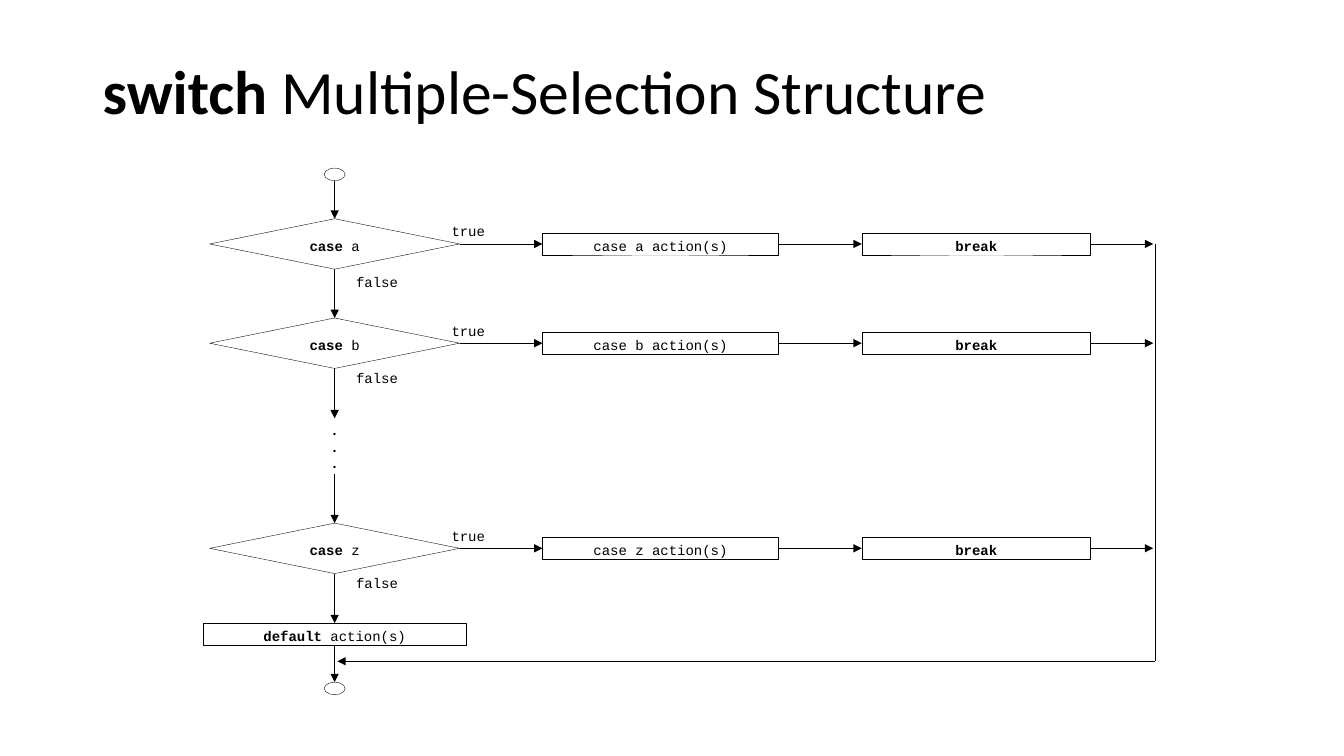
"""Draw the flowchart of a switch multiple-selection structure."""
from dataclasses import dataclass
from typing import Any

import lxml.etree
import pptx
import pptx.dml.color
import pptx.enum.shapes
import pptx.enum.text
import pptx.oxml.ns
import pptx.util

SHAPE = pptx.enum.shapes.MSO_SHAPE
ALIGN = pptx.enum.text.PP_ALIGN
ANCHOR = pptx.enum.text.MSO_ANCHOR
TOP, BOTTOM, LEFT, RIGHT = 0, 2, 1, 3
BLACK, WHITE = "000000", "FFFFFF"
AXIS, RAIL = 24.9, 85.95
ACTION_X, ACTION_W = 49.14, 17.55
BREAK_X, BREAK_W = 72.64, 17.03
BOX_H, DIAMOND_W, DIAMOND_H = 2.9, 18.6, 6.67
RETURN_Y = 87.47

prs = pptx.Presentation()
prs.slide_width = pptx.util.Inches(13.33)
prs.slide_height = pptx.util.Inches(7.5)
s = prs.slides.add_slide(prs.slide_layouts[5])


@dataclass(frozen=True)
class Case:
    """A case of the switch: its letter, centre row and drop of the false label."""
    letter: str
    y: float
    false_drop: float


@dataclass(frozen=True)
class End:
    """An end of a line: a point, or a side of a shape."""
    x: float = 0
    y: float = 0
    shape: Any = None
    side: int = TOP


CASES = [Case("a", 32.27, 3.87), Case("b", 45.4, 3.53), Case("z", 72.53, 3.47)]


def px(share: float) -> int:
    """Turn a percentage of the slide's width into a length."""
    return int(prs.slide_width * share / 100)


def py(share: float) -> int:
    """Turn a percentage of the slide's height into a length."""
    return int(prs.slide_height * share / 100)


def color(value: str) -> pptx.dml.color.RGBColor:
    """Turn a hex string into a colour."""
    return pptx.dml.color.RGBColor.from_string(value)


def write(tf: Any, text: str, *, lead: str = "", bold: bool = False, size: float = 10,
          font: str = "Courier New", align: Any = ALIGN.LEFT,
          anchor: Any = ANCHOR.TOP, spacing: float = 1) -> None:
    """Write lines of text, the first opened by a bold lead."""
    tf.word_wrap = True
    tf.auto_size = pptx.enum.text.MSO_AUTO_SIZE.NONE
    tf.vertical_anchor = anchor
    for i, line in enumerate(text.split("\n")):
        p = tf.add_paragraph() if i else tf.paragraphs[0]
        p.alignment, p.line_spacing = align, spacing
        for part, heavy in ((lead if i == 0 else "", True), (line, bold)):
            if part:
                r = p.add_run()
                r.text = part
                r.font.name, r.font.size, r.font.bold = font, pptx.util.Pt(size), heavy
                r.font.color.rgb = color(BLACK)


def no_insets(tf: Any) -> None:
    """Clear the margins of a text frame."""
    tf.margin_left = tf.margin_right = tf.margin_top = tf.margin_bottom = 0


def label(text: str, x: float, y: float, w: float, h: float, **fmt: Any) -> None:
    """Place text by its top left corner."""
    tf = s.shapes.add_textbox(px(x), py(y), px(w), py(h)).text_frame
    no_insets(tf)
    write(tf, text, **fmt)


def node(kind: Any, x: float, y: float, w: float, h: float, text: str = "",
         fill: str = "", **fmt: Any) -> Any:
    """Draw an outlined shape around its centre."""
    sp = s.shapes.add_shape(kind, px(x - w / 2), py(y - h / 2), px(w), py(h))
    sp.shadow.inherit = False
    if fill:
        sp.fill.solid()
        sp.fill.fore_color.rgb = color(fill)
    else:
        sp.fill.background()
    sp.line.color.rgb = color(BLACK)
    sp.line.width = pptx.util.Pt(0.25)
    if text:
        no_insets(sp.text_frame)
        sp.text_frame.margin_top = pptx.util.Inches(0.04)
        write(sp.text_frame, text, align=ALIGN.CENTER, anchor=ANCHOR.MIDDLE, **fmt)
    return sp


def line(start: End, end: End, arrow: bool = True) -> None:
    """Draw a straight line, joined to shapes where its ends name them."""
    c = s.shapes.add_connector(pptx.enum.shapes.MSO_CONNECTOR.STRAIGHT,
                               px(start.x), py(start.y), px(end.x), py(end.y))
    if start.shape is not None:
        c.begin_connect(start.shape, start.side)
    if end.shape is not None:
        c.end_connect(end.shape, end.side)
    c.line.color.rgb = color(BLACK)
    c.line.width = pptx.util.Pt(0.25)
    qn = pptx.oxml.ns.qn
    if arrow:
        lxml.etree.SubElement(c.line._get_or_add_ln(), qn("a:tailEnd"), type="triangle")
    lxml.etree.SubElement(c._element.spPr, qn("a:effectLst"))


def draw_case(case: Case) -> Any:
    """Draw one row of the flowchart and return its diamond."""
    y = case.y
    test = node(SHAPE.DIAMOND, AXIS, y, DIAMOND_W, DIAMOND_H, f" {case.letter}",
                fill=WHITE, lead="case")
    action = node(SHAPE.RECTANGLE, ACTION_X, y, ACTION_W, BOX_H,
                  f"case {case.letter} action(s)")
    leave = node(SHAPE.RECTANGLE, BREAK_X, y, BREAK_W, BOX_H, "break", bold=True)
    line(End(shape=test, side=RIGHT), End(shape=action, side=LEFT))
    line(End(shape=action, side=RIGHT), End(shape=leave, side=LEFT))
    line(End(shape=leave, side=RIGHT), End(85.8, y))
    label("true", 33.6, y - 2.8, 5.5, 3.2)
    label("false", 26.5, y + case.false_drop, 6.7, 3.2)
    return test


def main() -> None:
    """Build the slide and save it."""
    title = s.shapes.title
    title.left, title.top, title.width, title.height = px(6.88), py(5.33), px(86.25), py(19.33)
    title.top, title.height = py(5.33), py(14.4)
    write(title.text_frame, " Multiple-Selection Structure", lead="switch", size=44,
          font="Calibri", anchor=ANCHOR.MIDDLE, spacing=0.9)

    node(SHAPE.OVAL, AXIS, 23.07, 1.56, 1.65)
    finish = node(SHAPE.OVAL, AXIS, 91.07, 1.56, 1.65)
    first, second, last = [draw_case(case) for case in CASES]
    default = node(SHAPE.RECTANGLE, AXIS, 83.87, 19.6, BOX_H, " action(s)", lead="default")
    label(".\n.\n.", AXIS - 0.78, 55.73, 1.56, 8, bold=True, align=ALIGN.CENTER)

    line(End(AXIS, 23.9), End(shape=first, side=TOP))
    line(End(shape=first, side=BOTTOM), End(shape=second, side=TOP))
    line(End(shape=second, side=BOTTOM), End(AXIS, 55.33))
    line(End(AXIS, 62.67), End(shape=last, side=TOP))
    line(End(shape=last, side=BOTTOM), End(shape=default, side=TOP))
    line(End(shape=default, side=BOTTOM), End(shape=finish, side=TOP))
    line(End(RAIL, CASES[0].y), End(RAIL, RETURN_Y), arrow=False)
    line(End(RAIL, RETURN_Y), End(25.1, RETURN_Y))
    prs.save("out.pptx")


if __name__ == "__main__":
    main()
